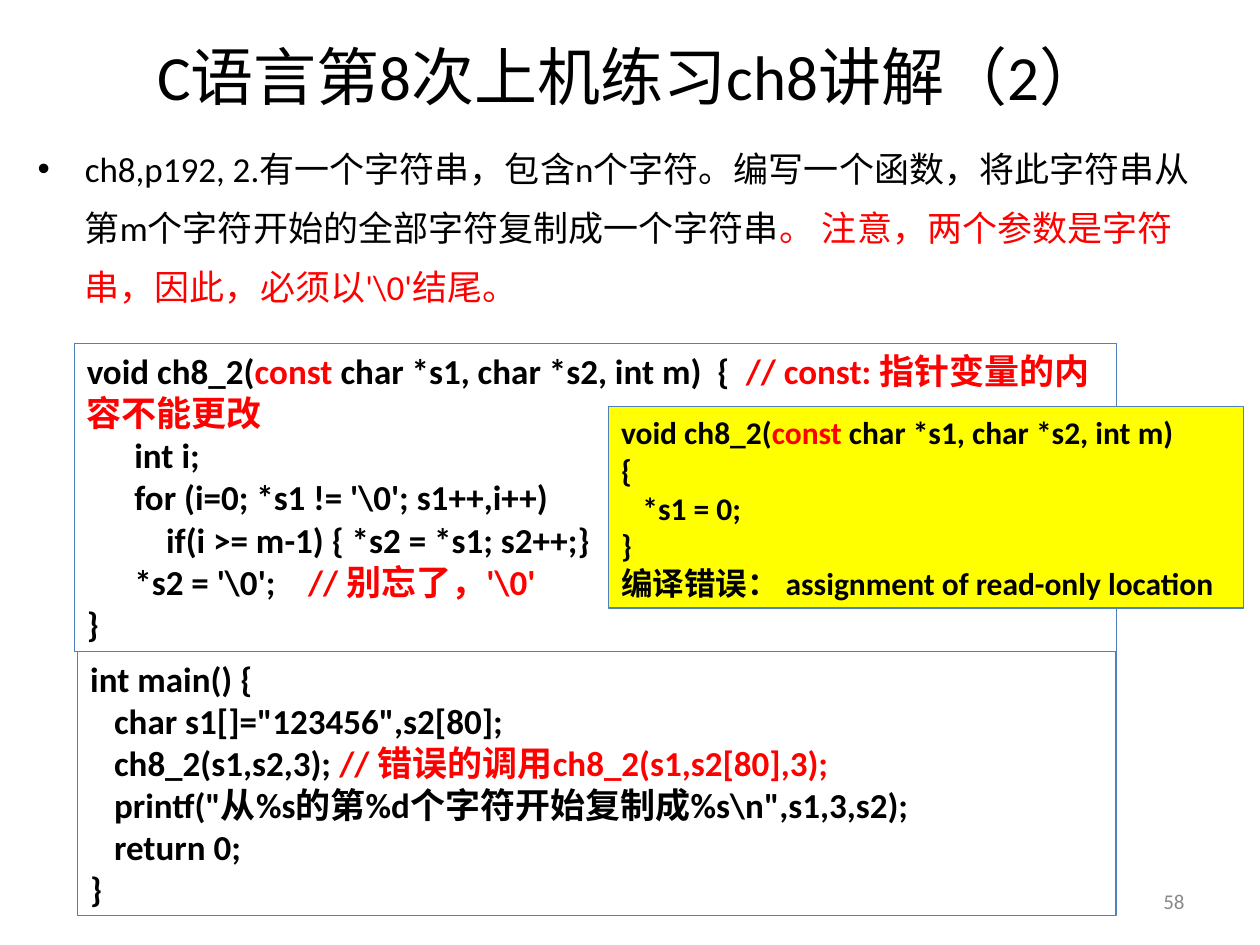
from lxml import etree
from pptx import Presentation
from pptx.dml.color import RGBColor
from pptx.enum.text import MSO_ANCHOR, MSO_AUTO_SIZE, PP_ALIGN
from pptx.oxml.ns import qn
from pptx.util import Cm, Pt

MIDDLE, TOP = MSO_ANCHOR.MIDDLE, MSO_ANCHOR.TOP
FIT_SHAPE, NO_FIT = MSO_AUTO_SIZE.SHAPE_TO_FIT_TEXT, MSO_AUTO_SIZE.NONE
LEFT, CENTER, RIGHT = PP_ALIGN.LEFT, PP_ALIGN.CENTER, PP_ALIGN.RIGHT

COLORS = {
    "text": "000000",
    "warning": "FF0000",
    "number": "898989",
    "border": "4F81BD",
    "highlight": "FFFF00",
}


def rgb(name):
    return RGBColor.from_string(COLORS[name])


def write(paragraph, text, size=20, color="text", bold=False, font="Calibri"):
    run = paragraph.add_run()
    run.text = text
    run.font.name = font
    run.font.size = Pt(size)
    run.font.bold = bold
    run.font.color.rgb = rgb(color)


def set_indent(paragraph, left, first=0):
    properties = paragraph._p.get_or_add_pPr()
    properties.set("marL", str(Cm(left)))
    properties.set("indent", str(Cm(first)))
    return properties


class ExerciseSlide:
    space_width = 0.008

    def __init__(self, slide):
        self.slide = slide

    def frame(self, left, top, width, height, anchor=TOP):
        box = self.slide.shapes.add_textbox(Cm(left), Cm(top), Cm(width), Cm(height))
        box.text_frame.word_wrap = True
        box.text_frame.auto_size = NO_FIT
        box.text_frame.vertical_anchor = anchor
        return box

    def label(self, area, text, align, **style):
        paragraph = self.frame(*area, anchor=MIDDLE).text_frame.paragraphs[0]
        paragraph.alignment = align
        write(paragraph, text, **style)

    def bullet(self, area, runs):
        paragraph = self.frame(*area).text_frame.paragraphs[0]
        paragraph.line_spacing = 1.4
        paragraph.space_before = Pt(5)
        properties = set_indent(paragraph, 0.95, -0.95)
        etree.SubElement(properties, qn("a:buFont")).set("typeface", "Arial")
        etree.SubElement(properties, qn("a:buChar")).set("char", "•")
        for text, color in runs:
            write(paragraph, text, color=color)

    def code(self, area, lines, size=20, fill=None, wrap=True):
        box = self.frame(*area)
        box.line.color.rgb = rgb("border")
        box.line.width = Pt(0.75)
        if fill:
            box.fill.solid()
            box.fill.fore_color.rgb = rgb(fill)
        frame = box.text_frame
        frame.word_wrap = wrap
        frame.auto_size = FIT_SHAPE
        for number, (spaces, comment_at, *runs) in enumerate(lines):
            paragraph = frame.add_paragraph() if number else frame.paragraphs[0]
            paragraph.alignment = LEFT
            start = spaces * size * self.space_width
            hang = comment_at or start
            set_indent(paragraph, hang, start - hang)
            for text, color in runs:
                write(paragraph, text, size=size, color=color, bold=True)


def plain(text):
    return text, "text"


def red(text):
    return text, "warning"


def line(spaces, *runs, comment_at=0):
    return spaces, comment_at, *runs


def main():
    deck = Presentation()
    deck.slide_width, deck.slide_height = Cm(25.4), Cm(19.05)
    page = ExerciseSlide(deck.slides.add_slide(deck.slide_layouts[6]))

    page.label((1.27, -0.08, 22.86, 3.18), "C语言第8次上机练习ch8讲解（2）", CENTER, size=36)
    page.bullet((0.51, 2.51, 24, 4.01), [
        plain("ch8,p192, 2.有一个字符串，包含n个字符。编写一个函数，"
              "将此字符串从第m个字符开始的全部字符复制成一个字符串"),
        red("。 注意，两个参数是字符串，因此，必须以'\\0'结尾。"),
    ])
    page.label((18.21, 17.65, 5.92, 1.02), "58", RIGHT, size=12, color="number")

    signature = [plain("void ch8_2("), red("const "), plain("char *s1, char *s2, int m)")]
    page.code((1.5, 6.93, 21.01, 6.2), [
        line(0, *signature, plain("  {  "), red("// const: 指针变量的内容不能更改")),
        line(6, plain("int i;")),
        line(6, plain("for (i=0; *s1 != '\\0'; s1++,i++)")),
        line(10, plain("if(i >= m-1) { *s2 = *s1; s2++;}")),
        line(6, plain("*s2 = '\\0';\t"), red("// 别忘了，'\\0'"), comment_at=4.46),
        line(0, plain("}")),
    ])
    page.code((1.57, 13.13, 20.93, 5.33), [
        line(0, plain("int main() {")),
        line(3, plain("char s1[]=\"123456\",s2[80];")),
        line(3, plain("ch8_2(s1,s2,3); "), red("// 错误的调用ch8_2(s1,s2[80],3);")),
        line(3, plain("printf(\"从%s的第%d个字符开始复制成%s\\n\",s1,3,s2);")),
        line(3, plain("return 0;")),
        line(0, plain("}")),
    ])
    page.code((12.27, 8.2, 12.8, 4.06), [
        line(0, *signature),
        line(0, plain("{")),
        line(3, plain("*s1 = 0;")),
        line(0, plain("}")),
        line(0, plain("编译错误： assignment of read-only location")),
    ], size=18, fill="highlight", wrap=False)

    deck.save("out.pptx")


if __name__ == "__main__":
    main()
